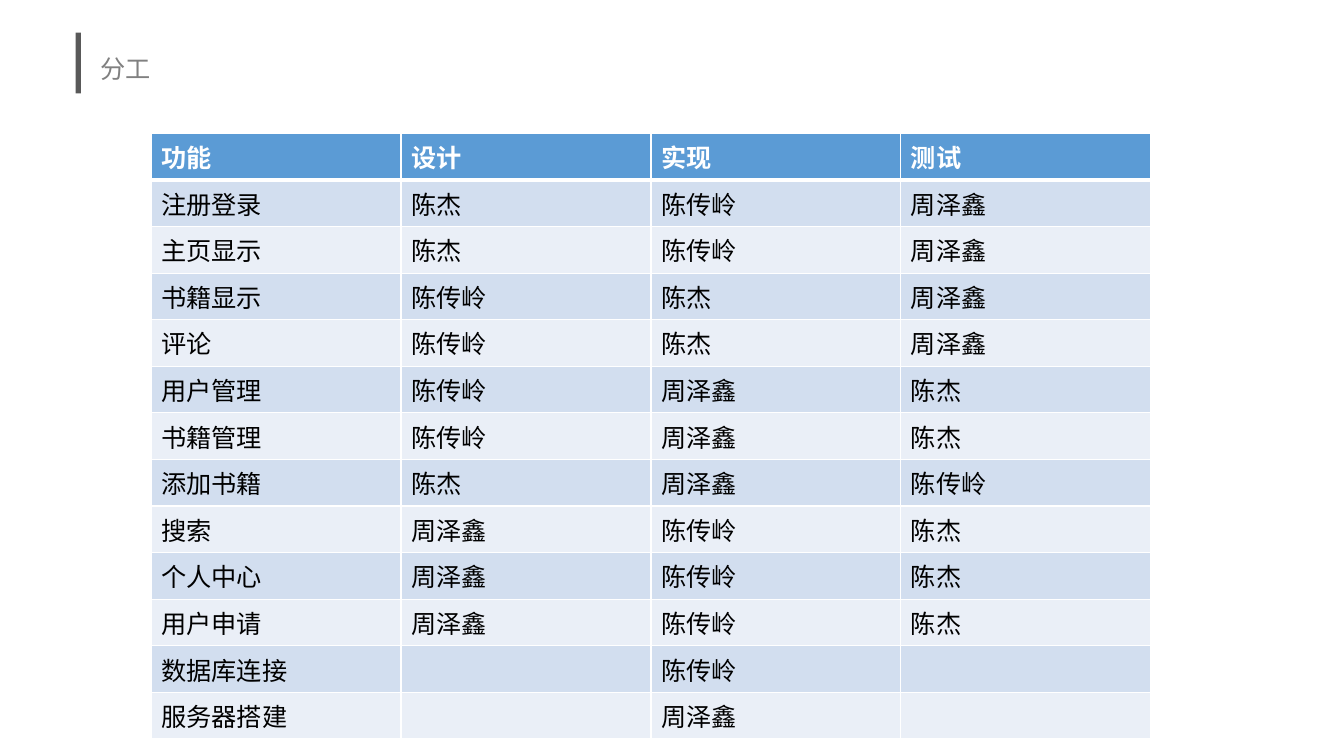
from lxml import etree
from pptx import Presentation
from pptx import util as u
from pptx.dml.color import RGBColor
from pptx.enum import shapes, text
from pptx.oxml import ns

PX = 9525  # EMU per px, 96 px to the inch

WHITE = RGBColor(0xFF, 0xFF, 0xFF)
BLACK = RGBColor(0x00, 0x00, 0x00)
DARK = RGBColor(0x59, 0x59, 0x59)
GREY = RGBColor(0x80, 0x80, 0x80)
BLUE = RGBColor(0x5B, 0x9B, 0xD5)
BANDS = (RGBColor(0xEA, 0xEF, 0xF7), RGBColor(0xD2, 0xDE, 0xEF))

LATIN = "Calibri"
HAN = "Noto Sans CJK SC"

CHEN, LING, ZHOU = "陈杰", "陈传岭", "周泽鑫"
TASKS = [
    ("功能", "设计", "实现", "测试"),
    ("注册登录", CHEN, LING, ZHOU),
    ("主页显示", CHEN, LING, ZHOU),
    ("书籍显示", LING, CHEN, ZHOU),
    ("评论", LING, CHEN, ZHOU),
    ("用户管理", LING, ZHOU, CHEN),
    ("书籍管理", LING, ZHOU, CHEN),
    ("添加书籍", CHEN, ZHOU, LING),
    ("搜索", ZHOU, LING, CHEN),
    ("个人中心", ZHOU, LING, CHEN),
    ("用户申请", ZHOU, LING, CHEN),
    ("数据库连接", "", LING, ""),
    ("服务器搭建", "", ZHOU, ""),
]


def px(*sizes):
    return [u.Emu(size * PX) for size in sizes]


def add_run(para, words, color, font=LATIN, bold=False):
    run = para.add_run()
    run.text = words
    run.font.size = u.Pt(18)
    run.font.name = font
    run.font.bold = bold
    run.font.color.rgb = color
    # East Asian typeface
    props = run.font._element
    props.find(ns.qn("a:latin")).addnext(
        etree.Element(ns.qn("a:ea"), typeface=HAN))


def add_bar(slide, left, top, width, height):
    bar = slide.shapes.add_shape(
        shapes.MSO_SHAPE.RECTANGLE, *px(left, top, width, height))
    bar.shadow.inherit = False
    bar.fill.solid()
    bar.fill.fore_color.rgb = DARK
    bar.line.fill.background()


def set_title(slide, words, left, top, width, height):
    title = slide.shapes.title
    title.left, title.top, title.width, title.height = px(
        left, top, width, height)
    frame = title.text_frame
    frame.vertical_anchor = text.MSO_ANCHOR.MIDDLE
    para = frame.paragraphs[0]
    para.alignment = text.PP_ALIGN.LEFT
    para.line_spacing = 1.3
    add_run(para, words, GREY, HAN)


def set_edges(cell, row):
    props = cell._tc.get_or_add_tcPr()
    for side in "LRTB":
        # Thick rule between the header and the body
        thick = (row, side) in ((0, "B"), (1, "T"))
        line = etree.SubElement(props, ns.qn("a:ln" + side),
                                w=str(u.Pt(3 if thick else 1)))
        fill = etree.SubElement(line, ns.qn("a:solidFill"))
        etree.SubElement(fill, ns.qn("a:srgbClr"), val=str(WHITE))


def add_grid(slide, rows, left, top, wide, high):
    count, span = len(rows), len(rows[0])
    grid = slide.shapes.add_table(
        count, span, *px(left, top, wide * span, high * count)).table
    for r, row in enumerate(rows):
        head = r == 0
        for c, words in enumerate(row):
            cell = grid.cell(r, c)
            set_edges(cell, r)
            cell.fill.solid()
            cell.fill.fore_color.rgb = BLUE if head else BANDS[r % 2]
            if words:
                add_run(cell.text_frame.paragraphs[0], words,
                        WHITE if head else BLACK, bold=head)


def main():
    deck = Presentation()
    deck.slide_width, deck.slide_height = px(1280, 720)
    slide = deck.slides.add_slide(deck.slide_layouts[5])  # title only

    # Heading
    add_bar(slide, 72, 31, 5, 58)
    set_title(slide, "分工", 86, 29, 1104, 63)

    # Who does what
    add_grid(slide, TASKS, 144, 127, 238, 39)

    deck.save("out.pptx")


if __name__ == "__main__":
    main()
